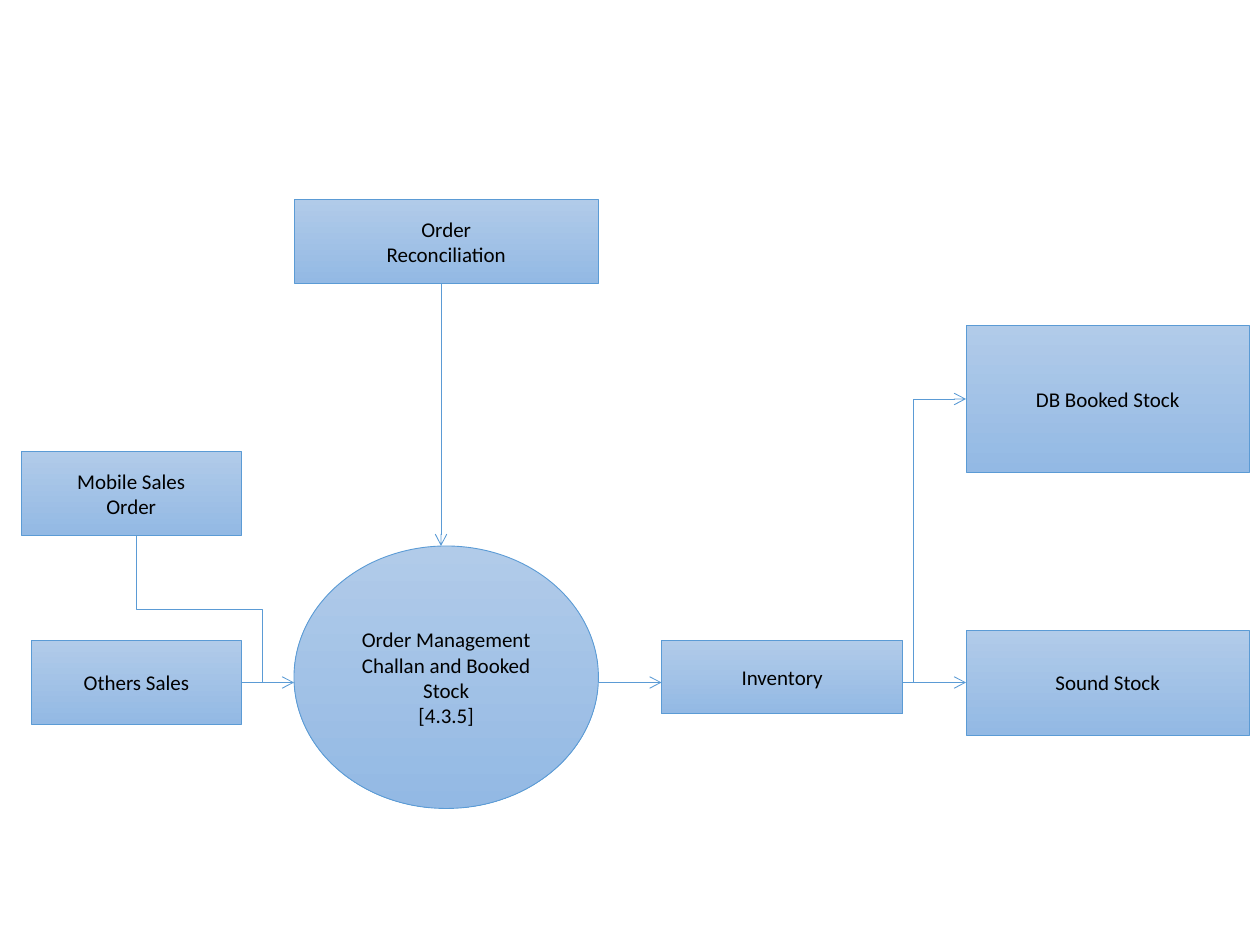
from lxml import etree
from pptx import Presentation
from pptx.dml.color import RGBColor
from pptx.enum.shapes import MSO_CONNECTOR, MSO_SHAPE
from pptx.enum.text import MSO_ANCHOR, PP_ALIGN
from pptx.oxml.ns import qn
from pptx.util import Cm, Pt

RECT = MSO_SHAPE.RECTANGLE
OVAL = MSO_SHAPE.OVAL
LINE = MSO_CONNECTOR.STRAIGHT
BENT = MSO_CONNECTOR.ELBOW
MID = MSO_ANCHOR.MIDDLE
CENTER = PP_ALIGN.CENTER
UNIT = 2.54 / 12
EDGE = "5B9BD5"
SHADES = ["B1CBE9", "93B9E4"]

NODES = [
    (OVAL, (28, 52, 29, 25), ["Order Management", "Challan and Booked Stock", "[4.3.5]"]),
    (RECT, (28, 19, 29, 8), ["Order", "Reconciliation"]),
    (RECT, (92, 31, 27, 14), ["DB Booked Stock"]),
    (RECT, (92, 60, 27, 10), ["Sound Stock"]),
    (RECT, (2, 43, 21, 8), ["Mobile Sales", "Order"]),
    (RECT, (3, 61, 20, 8), ["Others Sales"]),
    (RECT, (63, 61, 23, 7), ["Inventory"]),
]
ARROWS = [
    (87, 38, 92, 38),
    (57, 65, 63, 65),
    (86, 65, 92, 65),
    (23, 65, 28, 65),
    (42, 27, 42, 52),
]


def color(code):
    return RGBColor.from_string(code)


def grid(nums):
    return [Cm(n * UNIT) for n in nums]


def stroke(line):
    line.color.rgb = color(EDGE)
    line.width = Pt(0.5)


def add_node(slide, kind, place, lines):
    node = slide.shapes.add_shape(kind, *grid(place))
    node.shadow.inherit = False
    node.fill.gradient()
    node.fill.gradient_angle = 270
    for stop, shade in zip(node.fill.gradient_stops, SHADES):
        stop.color.rgb = color(shade)
    stroke(node.line)
    frame = node.text_frame
    frame.word_wrap = True
    frame.vertical_anchor = MID
    for i, text in enumerate(lines):
        para = frame.paragraphs[0] if i == 0 else frame.add_paragraph()
        para.alignment = CENTER
        run = para.add_run()
        run.text = text
        run.font.name = "Calibri"
        run.font.size = Pt(12)
        run.font.color.rgb = color("000000")


def add_link(slide, kind, ends, head=False, turn=0):
    link = slide.shapes.add_connector(kind, *grid(ends))
    stroke(link.line)
    props = link._element.spPr
    if head:
        etree.SubElement(props.find(qn("a:ln")), qn("a:tailEnd"), type="arrow")
    if turn:
        props.find(qn("a:xfrm")).set("rot", str(turn * 60000))
    etree.SubElement(props, qn("a:effectLst"))


def main():
    deck = Presentation()
    deck.slide_width, deck.slide_height = Cm(25.4), Cm(19.05)
    slide = deck.slides.add_slide(deck.slide_layouts[6])
    for kind, place, lines in NODES:
        add_node(slide, kind, place, lines)
    for ends in ARROWS:
        add_link(slide, LINE, ends, head=True)
    add_link(slide, LINE, (87, 65, 87, 38))
    add_link(slide, BENT, (12, 64, 26, 52), turn=270)
    deck.save("out.pptx")


main()
